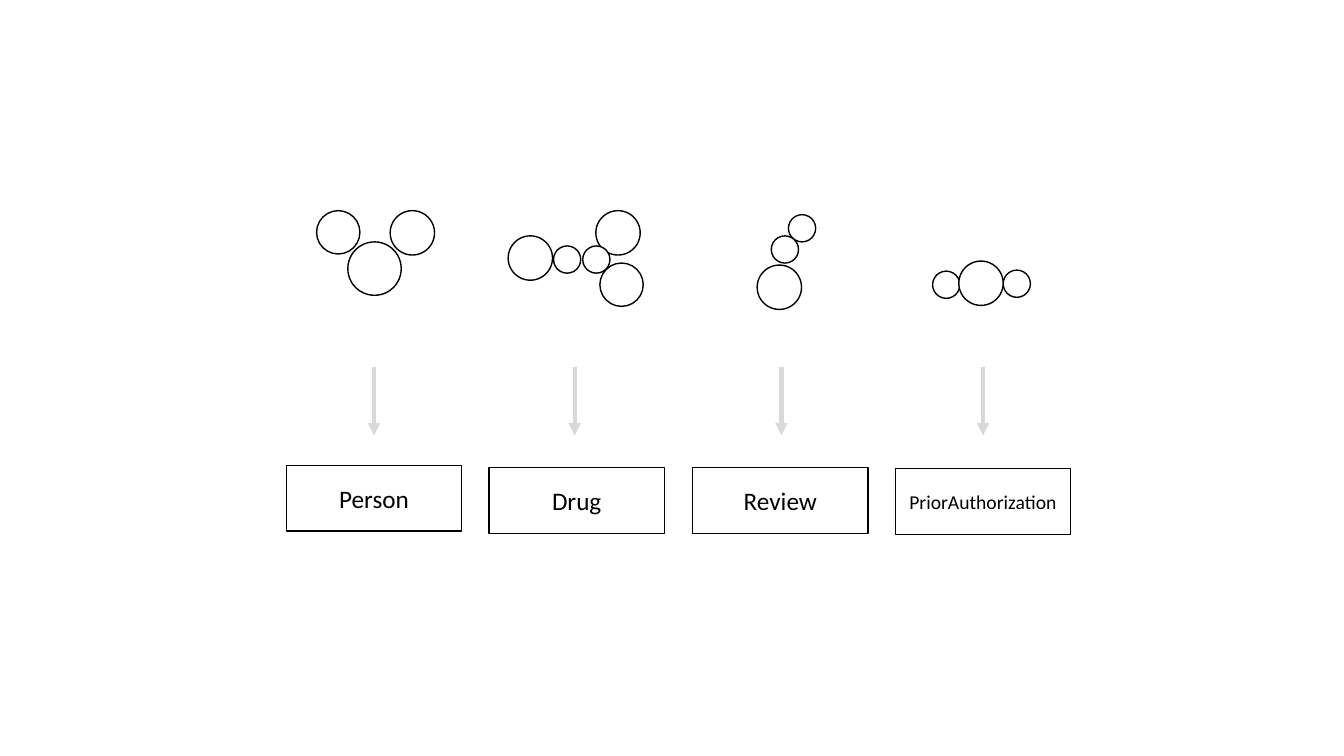
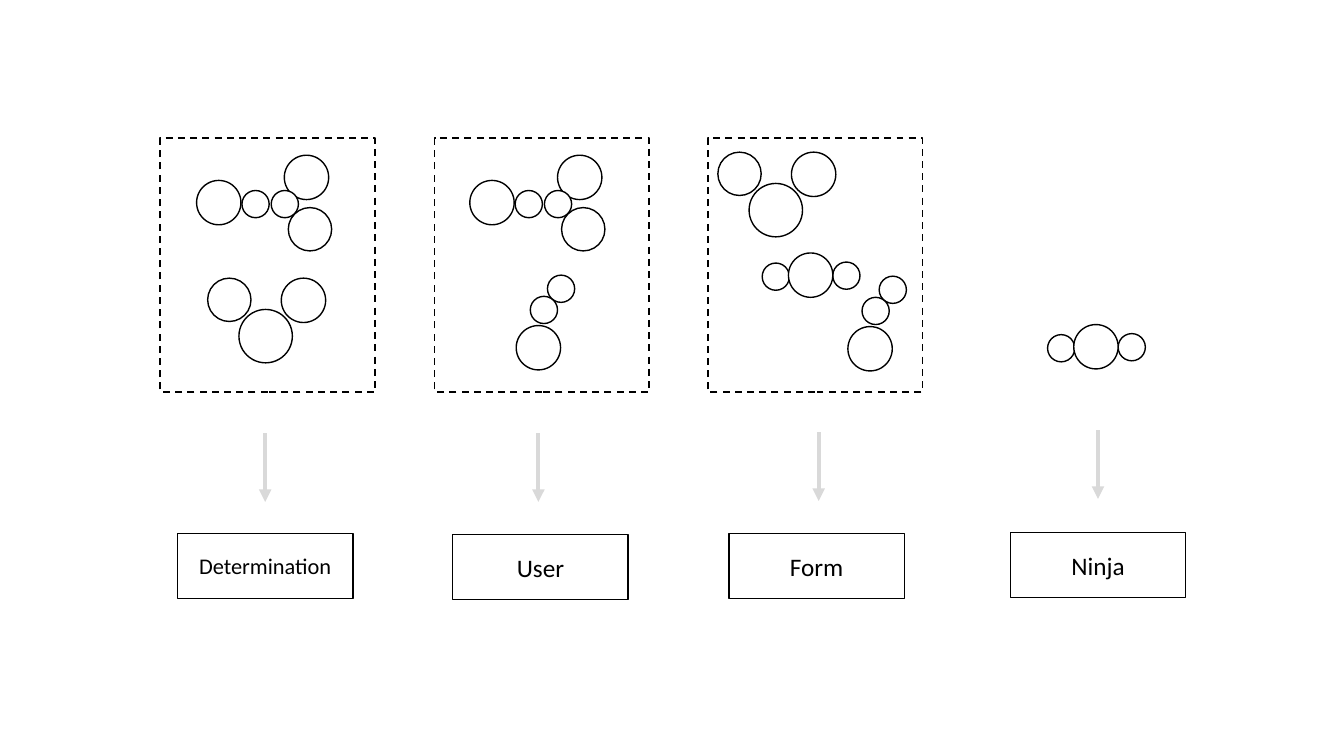
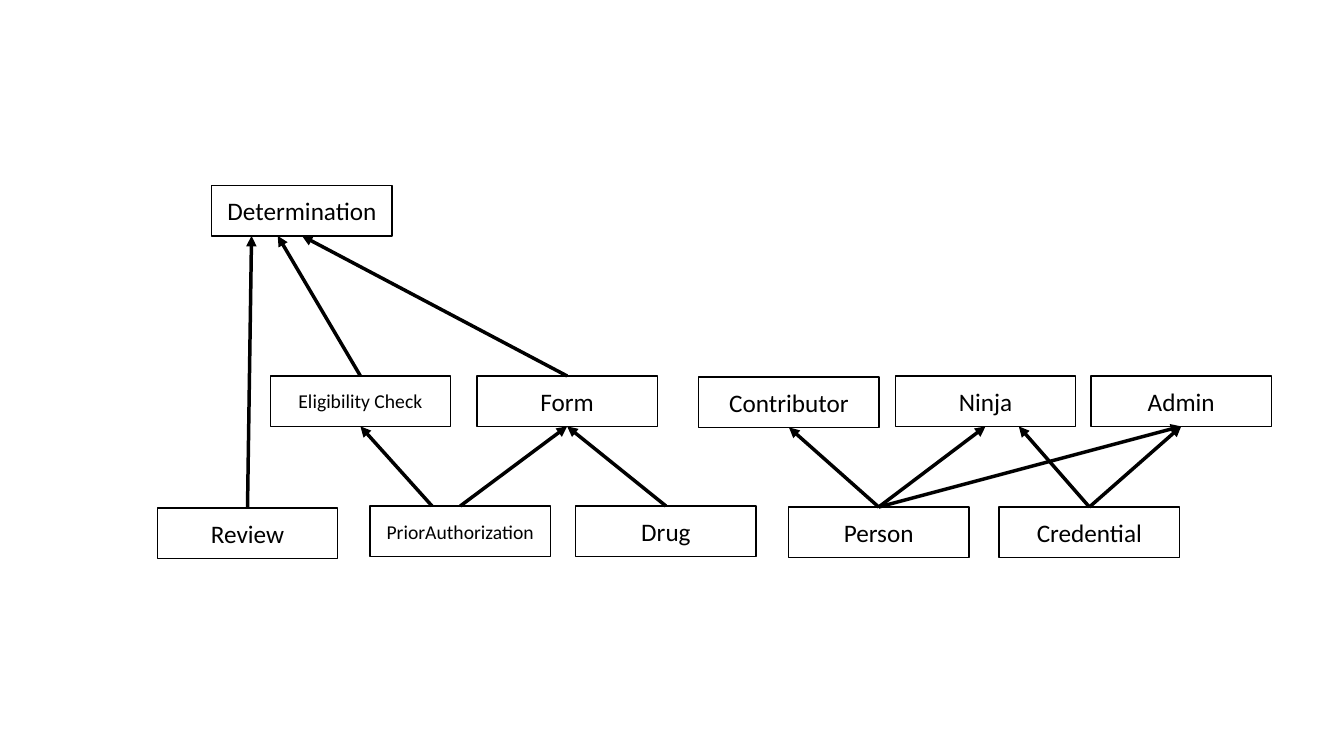
from lxml.etree import SubElement
from pptx import Presentation
from pptx.dml.color import RGBColor
from pptx.enum.dml import MSO_LINE
from pptx.enum.shapes import MSO_CONNECTOR, MSO_SHAPE
from pptx.enum.text import MSO_ANCHOR, PP_ALIGN
from pptx.oxml.ns import qn
from pptx.util import Inches, Pt

COLORS = {"paper": "FFFFFF", "ink": "000000", "arrow": "D9D9D9"}
FONT = "Calibri"
BLANK_LAYOUT = 6
TOP, BOTTOM = 0, 2  # connection sites of a rectangle

# Circles of each molecule: left and top offset from its corner, diameter
MOLECULES = {
    "person": [(0, 0, 0.43), (0.73, 0, 0.44), (0.31, 0.31, 0.53)],
    "drug": [(0.91, 0.52, 0.43), (0.87, 0, 0.44), (0.74, 0.35, 0.27),
             (0.45, 0.35, 0.27), (0, 0.25, 0.44)],
    "review": [(0.31, 0, 0.27), (0.14, 0.21, 0.27), (0, 0.5, 0.44)],
    "authorization": [(0.7, 0.09, 0.27), (0, 0.1, 0.27), (0.26, 0, 0.44)],
}


def color(name):
    return RGBColor.from_string(COLORS[name])


class Deck:
    """Holds the shared style and the slide being drawn."""

    def __init__(self):
        self.prs = Presentation()
        self.prs.slide_width = Inches(13.33)
        self.prs.slide_height = Inches(7.5)
        self.slide = None

    def new_slide(self):
        layout = self.prs.slide_layouts[BLANK_LAYOUT]
        self.slide = self.prs.slides.add_slide(layout)

    def outline(self, preset, left, top, width, height, weight=1):
        shape = self.slide.shapes.add_shape(
            preset, Inches(left), Inches(top), Inches(width), Inches(height))
        shape.shadow.inherit = False
        shape.fill.solid()
        shape.fill.fore_color.rgb = color("paper")
        shape.line.color.rgb = color("ink")
        shape.line.width = Pt(weight)
        return shape

    def molecule(self, kind, left, top):
        for dx, dy, size in MOLECULES[kind]:
            self.outline(MSO_SHAPE.OVAL, left + dx, top + dy, size, size)

    def frame(self, left, top):
        frame = self.outline(MSO_SHAPE.RECTANGLE, left, top, 2.13, 2.52, 1.25)
        frame.line.dash_style = MSO_LINE.DASH

    def label(self, text, left, top, size=18, width=1.74, height=0.65):
        box = self.outline(MSO_SHAPE.RECTANGLE, left, top, width, height)
        box.text_frame.word_wrap = True
        box.text_frame.vertical_anchor = MSO_ANCHOR.MIDDLE
        paragraph = box.text_frame.paragraphs[0]
        paragraph.alignment = PP_ALIGN.CENTER
        run = paragraph.add_run()
        run.text = text
        run.font.name = FONT
        run.font.size = Pt(size)
        run.font.color.rgb = color("ink")
        return box

    def arrow(self, x1, y1, x2, y2, ink="ink", weight=2.5):
        """Draw an arrow between two points given as lengths."""
        arrow = self.slide.shapes.add_connector(
            MSO_CONNECTOR.STRAIGHT, x1, y1, x2, y2)
        arrow.line.color.rgb = color(ink)
        arrow.line.width = Pt(weight)
        SubElement(arrow.line._get_or_add_ln(), qn("a:tailEnd"), type="triangle")
        SubElement(arrow._element.spPr, qn("a:effectLst"))
        return arrow

    def down_arrow(self, x, top):
        self.arrow(Inches(x), Inches(top), Inches(x), Inches(top + 0.68),
                   "arrow", 3)

    def link(self, child, parent, child_shift=0, parent_shift=0):
        """Join a child's top to its parent's bottom, shifted off centre if asked."""
        arrow = self.arrow(
            child.left + child.width // 2 + Inches(child_shift), child.top,
            parent.left + parent.width // 2 + Inches(parent_shift),
            parent.top + parent.height)
        if not child_shift:
            arrow.begin_connect(child, TOP)
        if not parent_shift:
            arrow.end_connect(parent, BOTTOM)

    def mapping(self, frames, molecules, columns):
        """Draw molecules over arrows that lead to their labels."""
        self.new_slide()
        for left in frames:
            self.frame(left, 1.37)
        for kind, left, top in molecules:
            self.molecule(kind, left, top)
        for text, size, left, top, arrow_x, arrow_top in columns:
            self.label(text, left, top, size)
            self.down_arrow(arrow_x, arrow_top)

    def hierarchy(self, boxes, links):
        self.new_slide()
        placed = {text: self.label(text, left, top, size, 1.79, 0.5)
                  for text, left, top, size in boxes}
        for child, parent, *shifts in links:
            self.link(placed[child], placed[parent], *shifts)


def main():
    deck = Deck()

    # One molecule per entity
    deck.mapping(
        frames=[],
        molecules=[("person", 3.14, 2.09), ("drug", 5.04, 2.09),
                   ("review", 7.51, 2.13), ("authorization", 9.25, 2.59)],
        columns=[("Person", 18, 2.84, 4.62, 3.71, 3.64),
                 ("Drug", 18, 4.85, 4.64, 5.7, 3.64),
                 ("Review", 18, 6.87, 4.64, 7.75, 3.64),
                 ("PriorAuthorization", 14, 8.88, 4.65, 9.75, 3.64)])

    # Molecules grouped into larger entities
    deck.mapping(
        frames=[1.59, 4.31, 7.02],
        molecules=[("drug", 1.95, 1.54), ("person", 2.06, 2.76),
                   ("drug", 4.66, 1.54), ("review", 5.12, 2.73),
                   ("person", 7.12, 1.51), ("authorization", 7.56, 2.51),
                   ("review", 8.41, 2.74), ("authorization", 10.39, 3.22)],
        columns=[("Determination", 16, 1.76, 5.29, 2.63, 4.3),
                 ("User", 18, 4.49, 5.3, 5.34, 4.3),
                 ("Form", 18, 7.23, 5.29, 8.12, 4.29),
                 ("Ninja", 18, 10.02, 5.28, 10.89, 4.27)])

    # Dependencies between the entities
    deck.hierarchy(
        boxes=[("Determination", 2.1, 1.84, 18),
               ("Eligibility Check", 2.68, 3.73, 14),
               ("Form", 4.73, 3.73, 18),
               ("Contributor", 6.93, 3.74, 18),
               ("Ninja", 8.88, 3.73, 18),
               ("Admin", 10.82, 3.73, 18),
               ("Review", 1.56, 5.04, 18),
               ("PriorAuthorization", 3.67, 5.02, 14),
               ("Drug", 5.71, 5.02, 18),
               ("Person", 7.82, 5.03, 18),
               ("Credential", 9.91, 5.03, 18)],
        links=[("Review", "Determination", 0, -0.5),
               ("Eligibility Check", "Determination", 0, -0.24),
               ("Form", "Determination"),
               ("PriorAuthorization", "Eligibility Check", -0.28),
               ("PriorAuthorization", "Form"),
               ("Drug", "Form"),
               ("Person", "Contributor"),
               ("Person", "Ninja"),
               ("Person", "Admin"),
               ("Credential", "Ninja", 0, 0.33),
               ("Credential", "Admin")])

    deck.prs.save("out.pptx")


if __name__ == "__main__":
    main()
